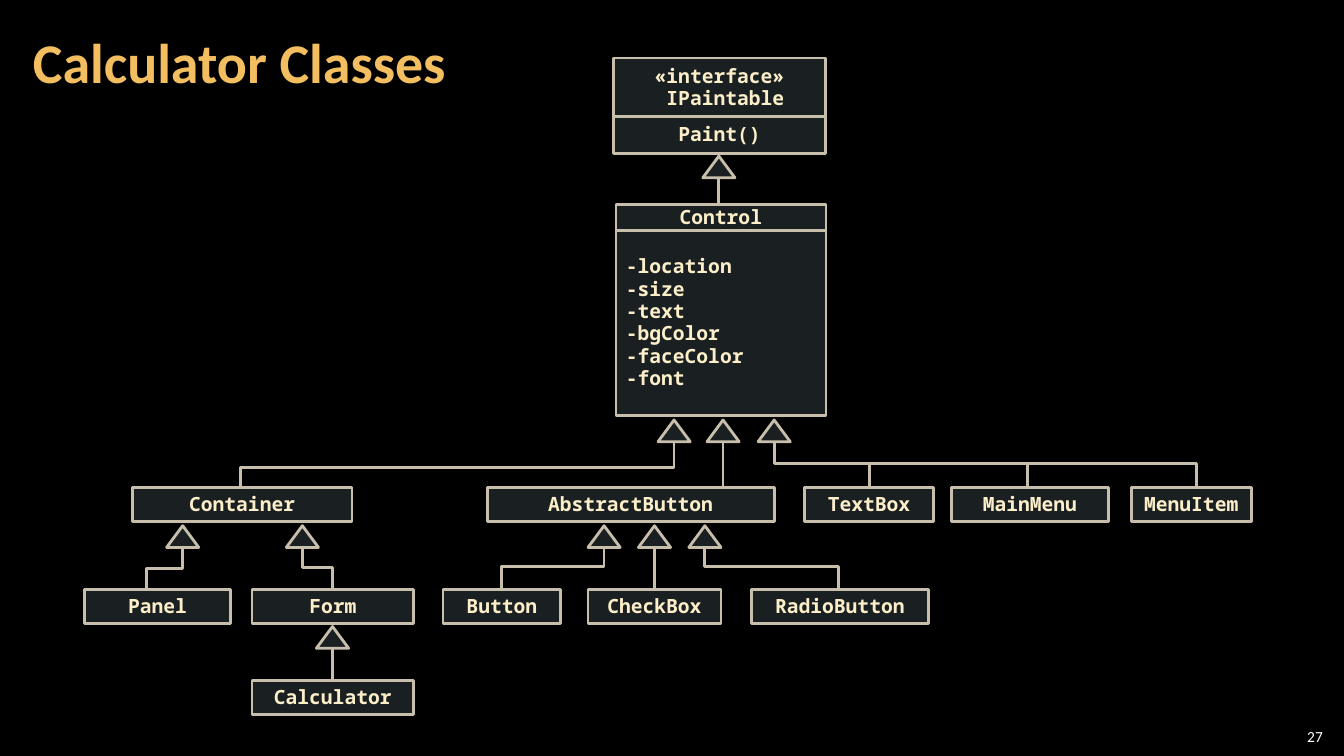
from dataclasses import dataclass
from lxml.etree import SubElement
from pptx import Presentation
from pptx.dml.color import RGBColor
from pptx.enum.shapes import MSO_CONNECTOR, MSO_SHAPE
from pptx.enum.text import MSO_ANCHOR, PP_ALIGN
from pptx.oxml.ns import qn
from pptx.util import Pt


@dataclass(frozen=True)
class Theme:
    background: RGBColor = RGBColor(0x00, 0x00, 0x00)
    title: RGBColor = RGBColor(0xF3, 0xBE, 0x60)
    number: RGBColor = RGBColor(0xFF, 0xFF, 0xFF)
    label: RGBColor = RGBColor(0xFB, 0xEE, 0xC9)
    line: RGBColor = RGBColor(0xC7, 0xBF, 0xAC)
    fill: RGBColor = RGBColor(0xB5, 0xDB, 0xE5)
    fill_alpha: str = "15000"
    line_width: float = 2
    heading_font: str = "Calibri"
    code_font: str = "Noto Sans Mono"
    title_size: float = 40
    number_size: float = 11
    label_size: float = 14


theme = Theme()


def write(tf, lines, font, size, color, bold, align, spacing):
    for i, line in enumerate(lines):
        p = tf.paragraphs[0] if i == 0 else tf.add_paragraph()
        p.text = line
        p.alignment = align
        p.line_spacing = spacing
        p.font.name = font
        p.font.size = Pt(size)
        p.font.bold = bold
        p.font.color.rgb = color


def style(sp, filled):
    sp.shadow.inherit = False
    sp.line.color.rgb = theme.line
    sp.line.width = Pt(theme.line_width)
    if filled:
        sp.fill.solid()
        sp.fill.fore_color.rgb = theme.fill
        color = sp.fill._xPr.find(qn("a:solidFill"))[0]
        SubElement(color, qn("a:alpha"), val=theme.fill_alpha)
    else:
        sp.fill.background()


prs = Presentation()
prs.slide_width, prs.slide_height = Pt(960), Pt(540)
s = prs.slides.add_slide(prs.slide_layouts[6])
s.background.fill.solid()
s.background.fill.fore_color.rgb = theme.background

# Title
tf = s.shapes.add_textbox(Pt(15), Pt(3), Pt(754), Pt(87)).text_frame
tf.word_wrap = True
tf.vertical_anchor = MSO_ANCHOR.MIDDLE
tf.margin_left = tf.margin_right = Pt(8.5)
tf.margin_top = tf.margin_bottom = Pt(3)
write(tf, ["Calculator Classes"], theme.heading_font, theme.title_size,
      theme.title, True, PP_ALIGN.LEFT, 0.9)

# Slide number
tf = s.shapes.add_textbox(Pt(903.5), Pt(516), Pt(48.5), Pt(18)).text_frame
tf.word_wrap = True
write(tf, ["27"], theme.heading_font, theme.number_size,
      theme.number, False, PP_ALIGN.RIGHT, 1.0)

# Class boxes: lines, left, top, width, height
ROW_1, ROW_2, ROW_3, ROW_HEIGHT = 348, 421, 486, 24.5
attributes = ["-location", "-size", "-text", "-bgColor", "-faceColor", "-font"]
boxes = [
    (["«interface»", " IPaintable"], 438.5, 41.5, 151, 42),
    (["Paint()"], 438.5, 83.5, 151, 26),
    (["Control"], 440, 146, 150, 18.5),
    (attributes, 440, 164.5, 150, 132.5),
    (["Container"], 94.5, ROW_1, 157, ROW_HEIGHT),
    (["AbstractButton"], 348, ROW_1, 205, ROW_HEIGHT),
    (["TextBox"], 574.5, ROW_1, 92.5, ROW_HEIGHT),
    (["MainMenu"], 679.5, ROW_1, 112.5, ROW_HEIGHT),
    (["MenuItem"], 808, ROW_1, 86, ROW_HEIGHT),
    (["Panel"], 60.5, ROW_2, 104, ROW_HEIGHT),
    (["Form"], 180, ROW_2, 115.5, ROW_HEIGHT),
    (["Button"], 316.5, ROW_2, 84, ROW_HEIGHT),
    (["CheckBox"], 420, ROW_2, 95, ROW_HEIGHT),
    (["RadioButton"], 537, ROW_2, 126, ROW_HEIGHT),
    (["Calculator"], 180, ROW_3, 115.5, ROW_HEIGHT),
]
for lines, *place in boxes:
    sp = s.shapes.add_shape(MSO_SHAPE.RECTANGLE, *map(Pt, place))
    style(sp, filled=True)
    tf = sp.text_frame
    tf.word_wrap = lines is attributes
    tf.vertical_anchor = MSO_ANCHOR.MIDDLE
    align = PP_ALIGN.LEFT if lines is attributes else PP_ALIGN.CENTER
    write(tf, lines, theme.code_font, theme.label_size,
          theme.label, True, align, 0.95)

# Inheritance arrowheads with bent lines: tip x, tip y, bend y, child x, child top
HEAD_WIDTH, HEAD_HEIGHT = 23, 15.5
CONTROL_TIP, ROW_1_TIP, MENU_BEND = 300, 375.5, 331
bent = [
    (481.5, CONTROL_TIP, 334, 172, ROW_1),
    (553, CONTROL_TIP, MENU_BEND, 854.5, ROW_1),
    (130.5, ROW_1_TIP, 406, 104.5, ROW_2),
    (216, ROW_1_TIP, 405.5, 237.5, ROW_2),
    (431.5, ROW_1_TIP, 404.5, 358, ROW_2),
    (503.5, ROW_1_TIP, 404.5, 599, ROW_2),
]
for x, tip, bend, child_x, child_top in bent:
    fb = s.shapes.build_freeform(Pt(x), Pt(tip + HEAD_HEIGHT))
    fb.add_line_segments([(Pt(x), Pt(bend)), (Pt(child_x), Pt(bend)),
                          (Pt(child_x), Pt(child_top))], close=False)
    style(fb.convert_to_shape(), filled=False)

# Straight inheritance: tip x, tip y, child top
straight = [
    (513.5, 111.5, 146),
    (516.5, CONTROL_TIP, ROW_1),
    (467.5, ROW_1_TIP, ROW_2),
    (237.5, 447.5, ROW_3),
]
stems = [(x, tip + HEAD_HEIGHT, end) for x, tip, end in straight]
stems += [(x, MENU_BEND, ROW_1) for x in (621, 734)]
for x, top, bottom in stems:
    line = s.shapes.add_connector(MSO_CONNECTOR.STRAIGHT,
                                  Pt(x), Pt(top), Pt(x), Pt(bottom))
    line.line.color.rgb = theme.line
    line.line.width = Pt(theme.line_width)
    SubElement(line._element.spPr, qn("a:effectLst"))

# Arrowheads
for x, tip, *_ in bent + straight:
    sp = s.shapes.add_shape(MSO_SHAPE.ISOSCELES_TRIANGLE, Pt(x - HEAD_WIDTH / 2),
                            Pt(tip), Pt(HEAD_WIDTH), Pt(HEAD_HEIGHT))
    style(sp, filled=True)

prs.save("out.pptx")
